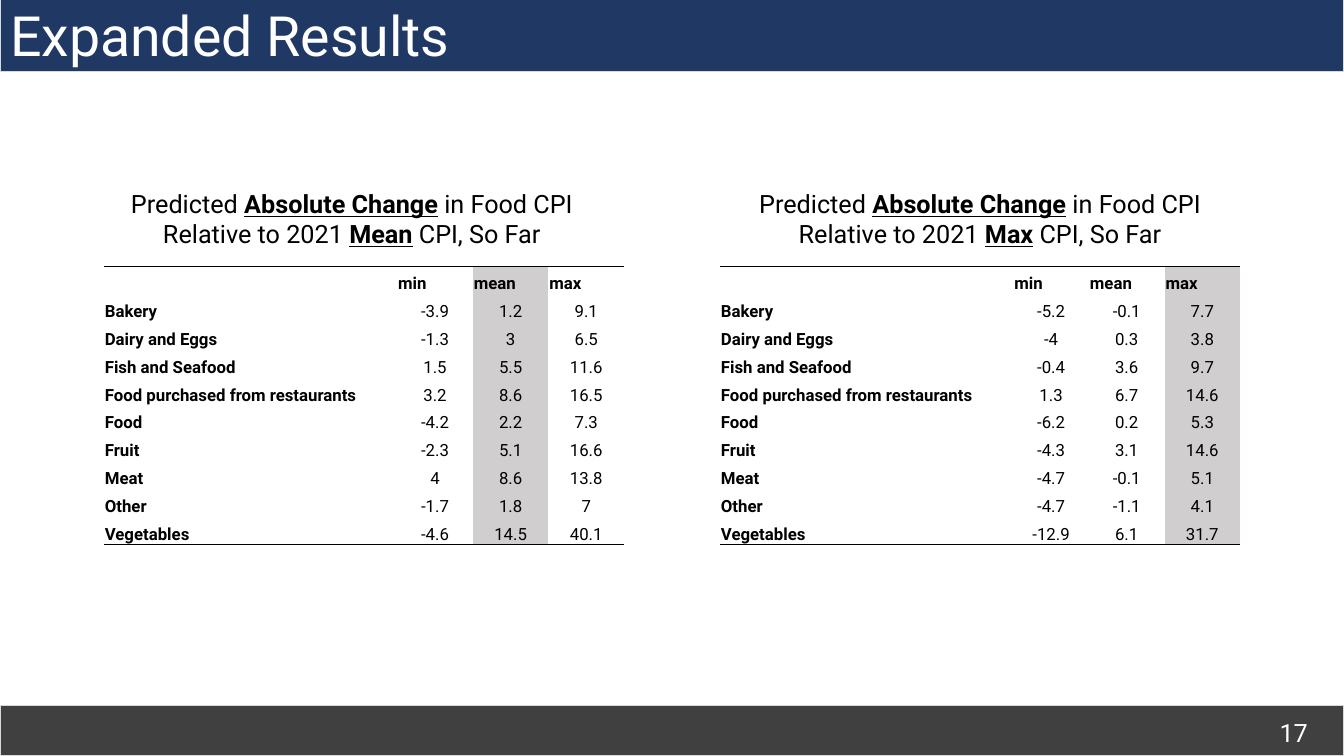
from pptx import Presentation
from pptx.dml.color import RGBColor
from pptx.enum.shapes import MSO_SHAPE as Preset
from pptx.enum.text import MSO_ANCHOR as Anchor, PP_ALIGN as Align
from pptx.oxml import parse_xml
from pptx.oxml.ns import nsdecls, qn
from pptx.util import Inches, Pt

NO_STYLE = "{2D5ABB26-0587-4C30-8999-92F81FD0307C}"
STATISTICS = ["min", "mean", "max"]
FOODS = ["Bakery", "Dairy and Eggs", "Fish and Seafood",
         "Food purchased from restaurants", "Food", "Fruit", "Meat",
         "Other", "Vegetables"]
VERSUS_MEAN = [
    ("-3.9", "1.2", "9.1"), ("-1.3", "3", "6.5"), ("1.5", "5.5", "11.6"),
    ("3.2", "8.6", "16.5"), ("-4.2", "2.2", "7.3"), ("-2.3", "5.1", "16.6"),
    ("4", "8.6", "13.8"), ("-1.7", "1.8", "7"), ("-4.6", "14.5", "40.1"),
]
VERSUS_MAX = [
    ("-5.2", "-0.1", "7.7"), ("-4", "0.3", "3.8"), ("-0.4", "3.6", "9.7"),
    ("1.3", "6.7", "14.6"), ("-6.2", "0.2", "5.3"), ("-4.3", "3.1", "14.6"),
    ("-4.7", "-0.1", "5.1"), ("-4.7", "-1.1", "4.1"), ("-12.9", "6.1", "31.7"),
]


def color(value):
    return RGBColor.from_string(value)


class ResultsSlide:
    face = "Roboto"
    ink = "000000"
    paper = "FFFFFF"
    highlight = "D0CECE"

    def __init__(self, deck):
        self.slide = deck.slides.add_slide(deck.slide_layouts[5])
        self.shapes = self.slide.shapes

    def style(self, paragraph, size, ink, align=Align.LEFT, bold=None):
        paragraph.alignment = align
        font = paragraph.font
        font.name = self.face
        font.size = Pt(size)
        font.color.rgb = color(ink)
        font.bold = bold

    def bar(self, top, height, fill):
        bar = self.shapes.add_shape(Preset.RECTANGLE, 0, Inches(top),
                                    Inches(13.33), Inches(height))
        bar.shadow.inherit = False
        bar.fill.solid()
        bar.fill.fore_color.rgb = color(fill)
        bar.line.color.rgb = color("D9D9D9")
        bar.line.width = Pt(1)

    def title(self, text):
        title = self.shapes.title
        title.left, title.top = Inches(0), Inches(0)
        title.width, title.height = Inches(13.33), Inches(0.68)
        frame = title.text_frame
        frame.text = text
        frame.vertical_anchor = Anchor.MIDDLE
        self.style(frame.paragraphs[0], 39.6, self.paper)
        self.shapes._spTree.append(title._element)

    def text(self, left, top, width, height, runs, ink, align):
        box = self.shapes.add_textbox(Inches(left), Inches(top),
                                      Inches(width), Inches(height))
        box.text_frame.word_wrap = True
        paragraph = box.text_frame.paragraphs[0]
        self.style(paragraph, 18, ink, align)
        for words, stressed in runs:
            run = paragraph.add_run()
            run.text = words
            if stressed:
                run.font.bold = True
                run.font.underline = True

    def caption(self, left, baseline):
        runs = [("Predicted ", False), ("Absolute Change", True),
                (" in Food CPI Relative to 2021 ", False),
                (baseline, True), (" CPI, So Far", False)]
        self.text(left, 1.82, 4.66, 0.71, runs, self.ink, Align.CENTER)

    def rule(self, cell, edge):
        cell._tc.get_or_add_tcPr().append(parse_xml(
            f'<a:{edge} {nsdecls("a")} w="12700"><a:solidFill>'
            f'<a:srgbClr val="{self.ink}"/></a:solidFill></a:{edge}>'))

    def table(self, left, values, highlighted):
        rows = [["", *STATISTICS]]
        rows += [[food, *figures] for food, figures in zip(FOODS, values)]
        table = self.shapes.add_table(
            len(rows), len(rows[0]), Inches(left), Inches(2.64),
            Inches(5.16), Inches(2.76)).table
        table.first_row = table.horz_banding = False
        table._tbl.tblPr.find(qn("a:tableStyleId")).text = NO_STYLE
        for column, width in zip(table.columns, [2.91, 0.75, 0.75, 0.75]):
            column.width = Inches(width)
        for r, row in enumerate(rows):
            for c, words in enumerate(row):
                cell = table.cell(r, c)
                cell.text = words
                cell.vertical_anchor = Anchor.BOTTOM
                cell.margin_left = cell.margin_right = Inches(0.01)
                cell.margin_top, cell.margin_bottom = Inches(0.01), 0
                heading = r == 0 or c == 0
                self.style(cell.text_frame.paragraphs[0], 12, self.ink,
                           Align.LEFT if heading else Align.CENTER, heading)
                if r == 0:
                    self.rule(cell, "lnT")
                if r == len(rows) - 1:
                    self.rule(cell, "lnB")
                if words and words in STATISTICS:
                    highlighted_column = row.index(highlighted)
                if c and c == highlighted_column:
                    cell.fill.solid()
                    cell.fill.fore_color.rgb = color(self.highlight)
                else:
                    cell.fill.background()


def main():
    deck = Presentation()
    deck.slide_width, deck.slide_height = Inches(13.33), Inches(7.5)
    results = ResultsSlide(deck)
    results.bar(-0.02, 0.73, "203864")
    results.bar(7, 0.5, "404040")
    results.text(10.07, 7.07, 3, 0.4, [("17", False)], results.paper, Align.RIGHT)
    results.title("Expanded Results")
    results.table(1.03, VERSUS_MEAN, "mean")
    results.caption(1.16, "Mean")
    results.table(7.14, VERSUS_MAX, "max")
    results.caption(7.39, "Max")
    deck.save("out.pptx")


if __name__ == "__main__":
    main()
